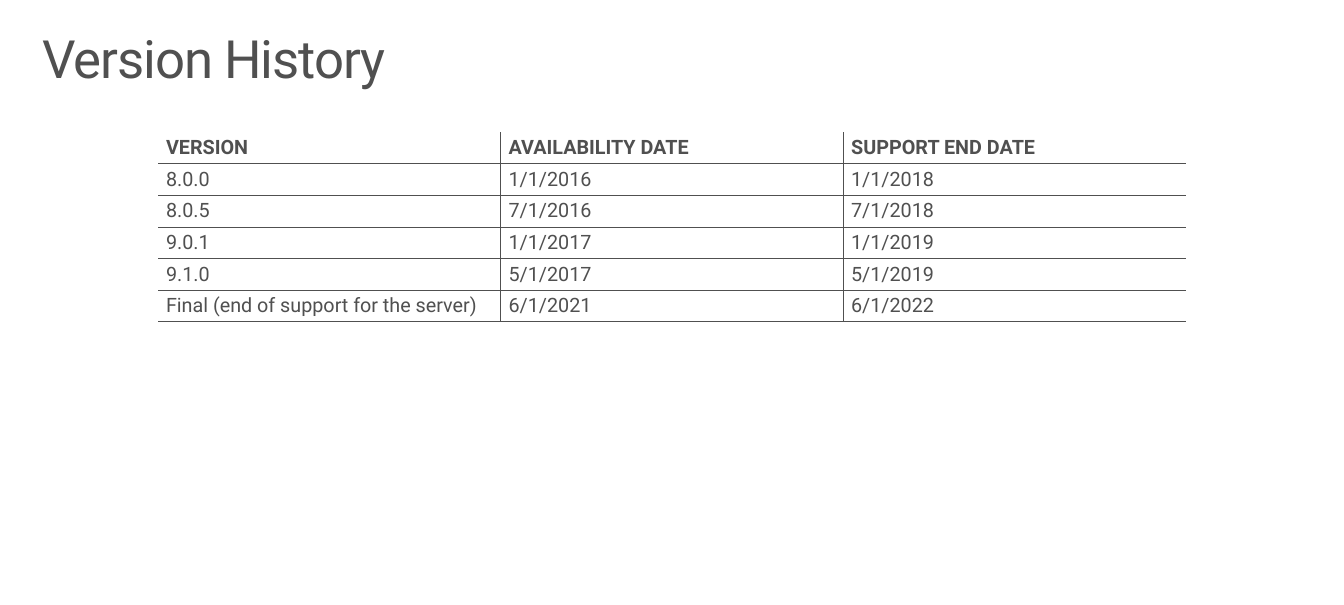
from dataclasses import dataclass

from lxml.etree import SubElement
from pptx import Presentation
from pptx.dml.color import RGBColor as RGB
from pptx.enum.text import MSO_ANCHOR as Anchor, MSO_AUTO_SIZE as Fit, PP_ALIGN as Align
from pptx.oxml.ns import qn
from pptx.util import Pt

PX = 9144  # 100 px to the inch


@dataclass(frozen=True)
class Theme:
    face: str = "Roboto"
    ink: str = "505050"
    title: int = 48
    body: int = 18
    rule: int = 1


theme = Theme()
NO_GRID = "{2D5ABB26-0587-4C30-8999-92F81FD0307C}"

rows = [
    ("VERSION", "AVAILABILITY DATE", "SUPPORT END DATE"),
    ("8.0.0", "1/1/2016", "1/1/2018"),
    ("8.0.5", "7/1/2016", "7/1/2018"),
    ("9.0.1", "1/1/2017", "1/1/2019"),
    ("9.1.0", "5/1/2017", "5/1/2019"),
    ("Final (end of support for the server)", "6/1/2021", "6/1/2022"),
]
count = len(rows[0])


def style(para, size, bold=False):
    para.alignment = Align.LEFT
    font = para.font
    font.name, font.size, font.bold = theme.face, Pt(size), bold
    font.color.rgb = RGB.from_string(theme.ink)


def border(cell, sides):
    """Rule the given sides (L, R, T, B, in that order) of a cell with no fill yet."""
    props = cell._tc.get_or_add_tcPr()
    for side in sides:
        line = SubElement(props, qn(f"a:ln{side}"), w=str(Pt(theme.rule)))
        fill = SubElement(line, qn("a:solidFill"))
        SubElement(fill, qn("a:srgbClr"), val=theme.ink)


deck = Presentation()
deck.slide_width, deck.slide_height = 1700 * PX, 765 * PX
slide = deck.slides.add_slide(deck.slide_layouts[5])

# Title
title = slide.shapes.title
title.left, title.top, title.width, title.height = 38 * PX, 32 * PX, 1625 * PX, 100 * PX
frame = title.text_frame
frame.text = "Version History"
frame.auto_size = Fit.NONE
frame.word_wrap = True
frame.vertical_anchor = Anchor.TOP
frame.margin_left = frame.margin_right = 16 * PX
frame.margin_top = frame.margin_bottom = 10 * PX
head = frame.paragraphs[0]
style(head, theme.title)
head.line_spacing = 0.9
head.runs[0].font._element.set("spc", "-100")

# Version table, ruled below each row and between columns
table = slide.shapes.add_table(
    len(rows), count, 200 * PX, 167 * PX, 1300 * PX, 40 * len(rows) * PX
).table
table._tbl.tblPr.find(qn("a:tableStyleId")).text = NO_GRID
table.horz_banding = False

for r, row in enumerate(rows):
    for c, text in enumerate(row):
        cell = table.cell(r, c)
        cell.text = text
        cell.vertical_anchor = Anchor.MIDDLE
        style(cell.text_frame.paragraphs[0], theme.body, bold=r == 0)
        left = "L" if c else ""
        right = "R" if c < count - 1 else ""
        top = "T" if r else ""
        border(cell, left + right + top + "B")
        cell.fill.background()

deck.save("out.pptx")
